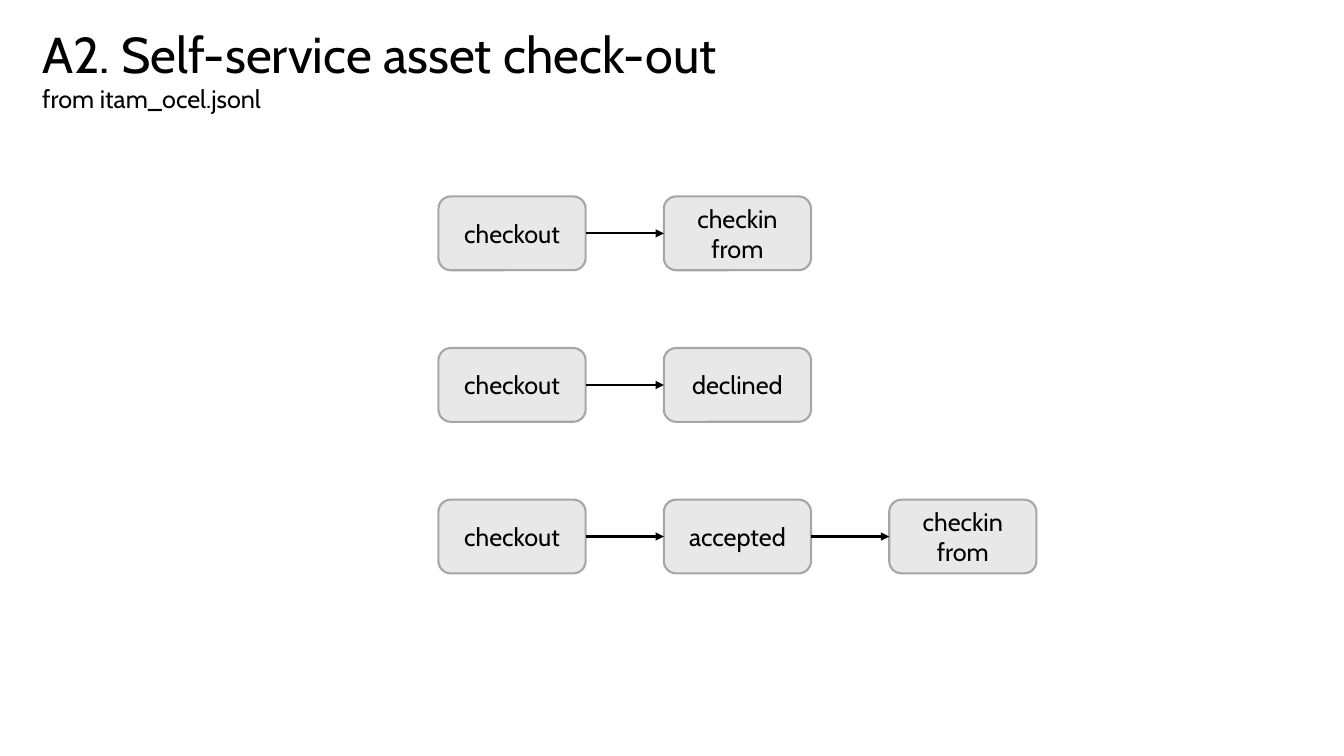
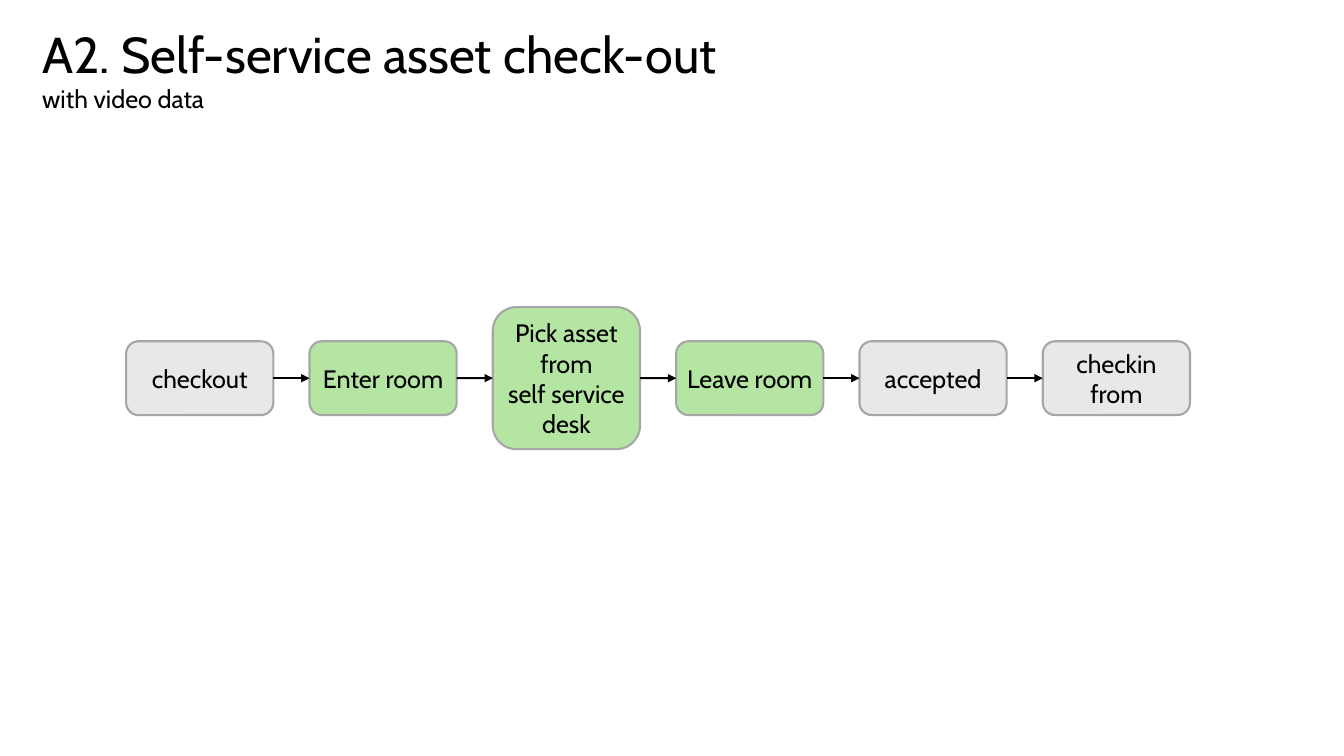
"""Build two slides that show the event flows of a self-service asset check-out."""
from lxml.etree import SubElement
from pptx import Presentation
from pptx.dml.color import RGBColor
from pptx.enum.shapes import MSO_CONNECTOR, MSO_SHAPE
from pptx.enum.text import MSO_ANCHOR, MSO_AUTO_SIZE, PP_ALIGN
from pptx.oxml.ns import qn
from pptx.util import Cm, Pt


def color(hex_string):
    return RGBColor.from_string(hex_string)


def write(frame, lines, sizes, align, frame_format):
    for name, value in frame_format.items():
        setattr(frame, name, value)
    frame.text = "\n".join(lines)
    for paragraph, size in zip(frame.paragraphs, sizes):
        paragraph.alignment = align
        font_format = {"name": "Cabin", "size": Pt(size)}
        for run in paragraph.runs:
            for name, value in font_format.items():
                setattr(run.font, name, value)
            run.font.color.rgb = color(BLACK)


BLACK, GRAY, GREEN, OUTLINE = "000000", "E8E8E8", "B4E5A2", "A6A6A6"
HEADING = "A2. Self-service asset check-out"
STEP_WIDTH, STEP_HEIGHT, TALL_HEIGHT = 3.71, 1.86, 3.58

HEADING_PLACE = {"left": Cm(0.81), "top": Cm(0.46), "width": Cm(18.29), "height": Cm(2.57)}
HEADING_FORMAT = {
    "word_wrap": False,
    "auto_size": MSO_AUTO_SIZE.NONE,
    "vertical_anchor": MSO_ANCHOR.TOP,
}
STEP_FORMAT = {
    "word_wrap": True,
    "vertical_anchor": MSO_ANCHOR.MIDDLE,
    "margin_left": Cm(0.1),
    "margin_right": Cm(0.1),
    "margin_top": 0,
    "margin_bottom": 0,
}

CHECKOUT = (["checkout"], GRAY, STEP_HEIGHT)
CHECKIN = (["checkin", "from"], GRAY, STEP_HEIGHT)
DECLINED = (["declined"], GRAY, STEP_HEIGHT)
ACCEPTED = (["accepted"], GRAY, STEP_HEIGHT)
ENTER = (["Enter room"], GREEN, STEP_HEIGHT)
PICK = (["Pick asset from", "self service desk"], GREEN, TALL_HEIGHT)
LEAVE = (["Leave room"], GREEN, STEP_HEIGHT)

PAGES = [
    {
        "subtitle": "from itam_ocel.jsonl",
        "left": 11.05,
        "pitch": 5.68,
        "middle": 5.88,
        "flows": [
            [CHECKOUT, CHECKIN],
            [CHECKOUT, DECLINED],
            [CHECKOUT, ACCEPTED, CHECKIN],
        ],
    },
    {
        "subtitle": "with video data",
        "left": 3.18,
        "pitch": 4.62,
        "middle": 9.53,
        "flows": [[CHECKOUT, ENTER, PICK, LEAVE, ACCEPTED, CHECKIN]],
    },
]
FLOW_PITCH = 3.82

deck = Presentation()
deck.slide_width, deck.slide_height = Cm(33.87), Cm(19.05)

for page in PAGES:
    slide = deck.slides.add_slide(deck.slide_layouts[5])
    heading = slide.shapes.title
    for name, value in HEADING_PLACE.items():
        setattr(heading, name, value)
    write(heading.text_frame, [HEADING, page["subtitle"]], [36, 18], PP_ALIGN.LEFT, HEADING_FORMAT)

    for row, flow in enumerate(page["flows"]):
        middle = page["middle"] + row * FLOW_PITCH
        previous = None
        for column, (lines, fill, height) in enumerate(flow):
            step = slide.shapes.add_shape(
                MSO_SHAPE.ROUNDED_RECTANGLE,
                Cm(page["left"] + column * page["pitch"]),
                Cm(middle - height / 2),
                Cm(STEP_WIDTH),
                Cm(height),
            )
            step.shadow.inherit = False
            step.fill.solid()
            step.fill.fore_color.rgb = color(fill)
            step.line.color.rgb = color(OUTLINE)
            step.line.width = Pt(1.5)
            write(step.text_frame, lines, [18] * len(lines), PP_ALIGN.CENTER, STEP_FORMAT)

            if previous is not None:
                arrow = slide.shapes.add_connector(MSO_CONNECTOR.STRAIGHT, 0, 0, 0, 0)
                arrow.begin_connect(previous, 3)
                arrow.end_connect(step, 1)
                arrow.line.color.rgb = color(BLACK)
                arrow.line.width = Pt(1.5)
                properties = arrow.element.spPr
                SubElement(properties.find(qn("a:ln")), qn("a:tailEnd"), type="triangle")
                SubElement(properties, qn("a:effectLst"))
            previous = step

deck.save("out.pptx")
